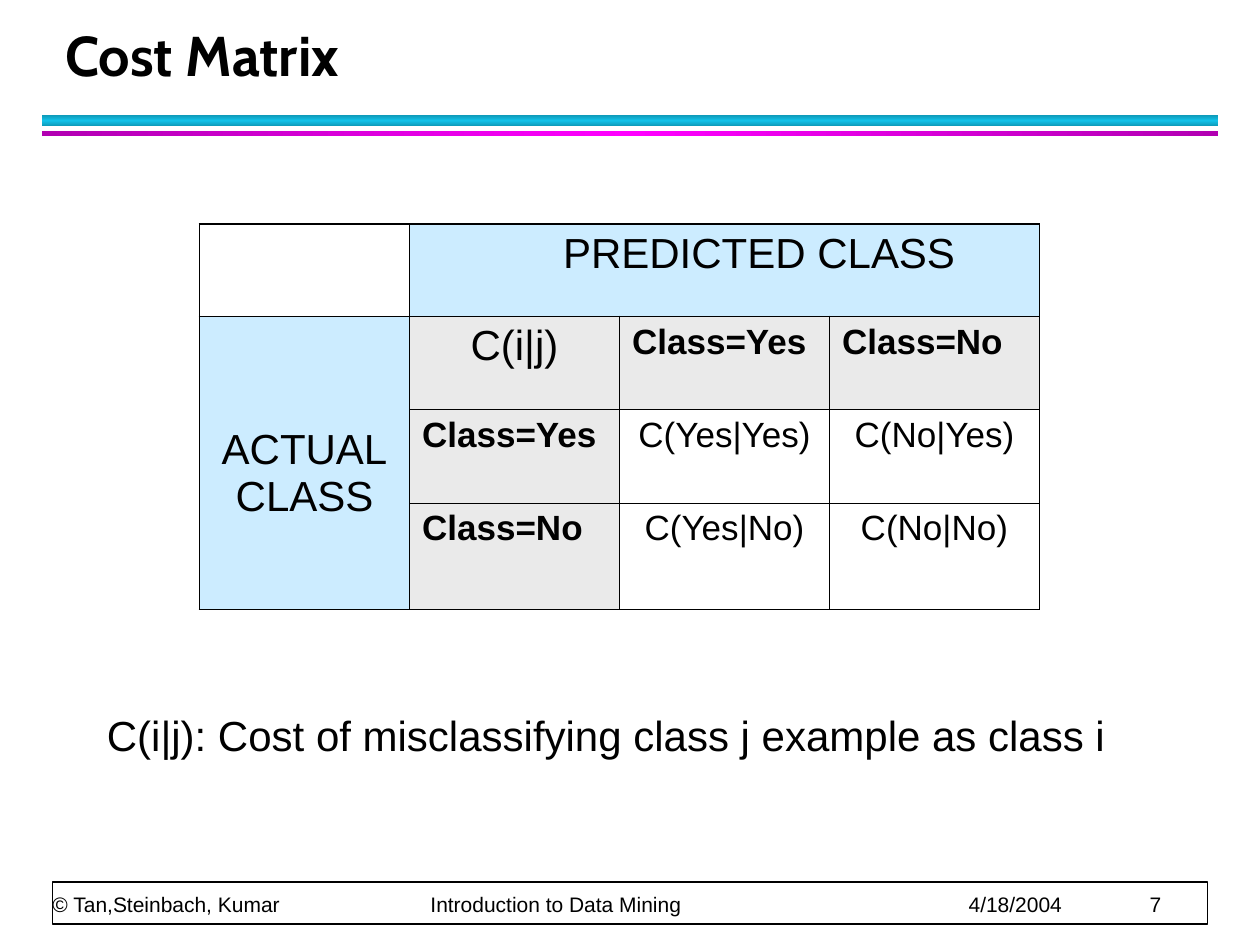
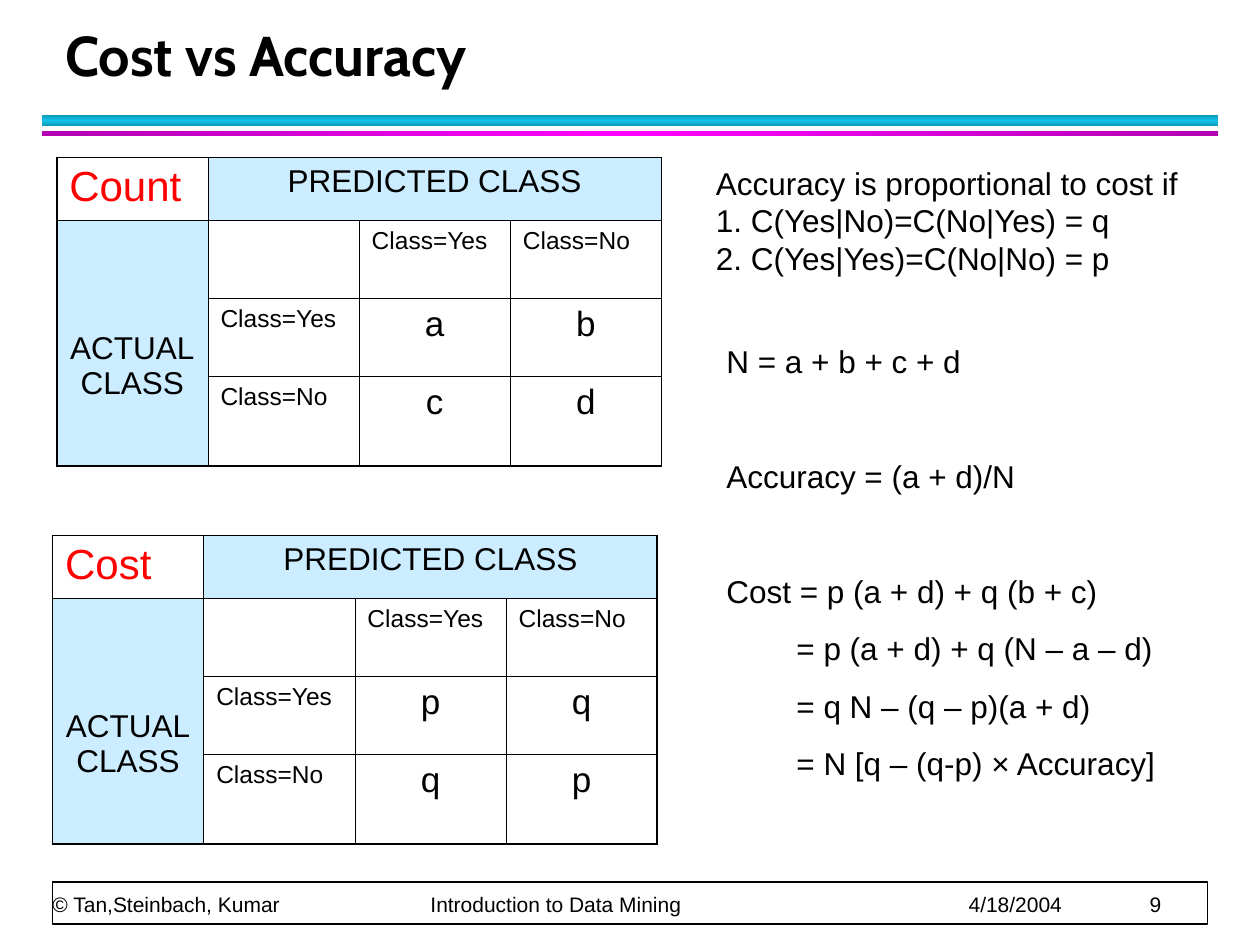
import copy
import dataclasses

import pptx
import pptx.dml.color
import pptx.enum.dml
import pptx.enum.shapes
import pptx.enum.text
import pptx.oxml
import pptx.oxml.ns
import pptx.util

ALIGN = pptx.enum.text.PP_ALIGN
ANCHOR = pptx.enum.text.MSO_ANCHOR


@dataclasses.dataclass(frozen=True)
class Theme:
    black: str = "000000"
    white: str = "FFFFFF"
    red: str = "FF0000"
    header: str = "CCECFF"
    label: str = "EAEAEA"
    cyan: tuple = ("0E9BBA", "12C2E9")
    magenta: tuple = ("B200B2", "FF00FF")
    title_font: str = "Cabin"
    text_font: str = "Arial"
    title_size: int = 32
    large: int = 24
    value: int = 20
    body: int = 18
    small: int = 14
    footer: int = 12
    inner_line: float = 0.45
    outer_line: float = 1.08


def color(code):
    return pptx.dml.color.RGBColor.from_string(code)


def assign(target, values):
    for name, value in values.items():
        setattr(target, name, value)


class Deck:
    columns, rows = 120, 90

    def __init__(self, theme):
        self.theme = theme
        self.deck = pptx.Presentation()
        self.deck.slide_width = pptx.util.Inches(10)
        self.deck.slide_height = pptx.util.Inches(7.5)
        self.page = None

    def across(self, columns):
        return round(self.deck.slide_width * columns / self.columns)

    def down(self, rows):
        return round(self.deck.slide_height * rows / self.rows)

    def area(self, left, top, width, height):
        return self.across(left), self.down(top), self.across(width), self.down(height)

    def start(self, title, number):
        self.page = self.deck.slides.add_slide(self.deck.slide_layouts[5])
        self.band((4, 11, 112, 1), self.theme.cyan, 90)
        self.band((4, 12.5, 112, 0.5), self.theme.magenta, 180)
        self.footer(number)
        self.title(title)

    def paragraph(self, frame, index, text, font=None, layout=None):
        para = frame.paragraphs[0] if index == 0 else frame.add_paragraph()
        assign(para, {"alignment": ALIGN.LEFT, **(layout or {})})
        span = para.add_run()
        span.text = text
        style = {"name": self.theme.text_font, "size": self.theme.body,
                 "bold": False, "color": self.theme.black, **(font or {})}
        span.font.color.rgb = color(style.pop("color"))
        style["size"] = pptx.util.Pt(style["size"])
        assign(span.font, style)
        return para

    def title(self, text):
        box = self.page.shapes.title
        places = self.area(5, 2, 108.7, 7)
        assign(box, dict(zip(("left", "top", "width", "height"), places)))
        assign(box.text_frame, {"vertical_anchor": ANCHOR.BOTTOM, "word_wrap": True,
                                "auto_size": pptx.enum.text.MSO_AUTO_SIZE.NONE})
        font = {"name": self.theme.title_font, "size": self.theme.title_size, "bold": True}
        self.paragraph(box.text_frame, 0, text, font, {"line_spacing": pptx.util.Pt(36)})

    def rectangle(self, place):
        box = self.page.shapes.add_shape(
            pptx.enum.shapes.MSO_SHAPE.RECTANGLE, *self.area(*place))
        box.shadow.inherit = False
        return box

    def band(self, place, shades, angle):
        box = self.rectangle(place)
        box.line.fill.background()
        box.fill.gradient()
        box.fill.gradient_angle = angle
        for stop, shade, position in zip(box.fill.gradient_stops, shades, (0, 0.5)):
            stop.color.rgb = color(shade)
            stop.position = position
        stops = box.element.find(".//" + pptx.oxml.ns.qn("a:gsLst"))
        last = copy.deepcopy(stops[0])
        last.set("pos", "100000")
        stops.append(last)

    def text(self, place, lines, font=None, anchor=ANCHOR.TOP, inset=(0.1, 0.05)):
        box = self.page.shapes.add_textbox(*self.area(*place))
        side, edge = map(pptx.util.Inches, inset)
        assign(box.text_frame, {"word_wrap": True, "vertical_anchor": anchor,
                                "margin_left": side, "margin_right": side,
                                "margin_top": edge, "margin_bottom": edge})
        paras = []
        for index, (text, layout) in enumerate(lines):
            paras.append(self.paragraph(box.text_frame, index, text, font, layout))
        return paras

    def indent(self, para, columns):
        para._p.get_or_add_pPr().set("marL", str(self.across(columns)))

    def footer(self, number):
        frame = self.rectangle((5, 84, 110, 4))
        frame.fill.solid()
        frame.fill.fore_color.rgb = color(self.theme.white)
        frame.line.color.rgb = color(self.theme.black)
        frame.line.width = pptx.util.Pt(1)
        parts = ("© Tan,Steinbach, Kumar", "Introduction to Data Mining", "4/18/2004", str(number))
        line = ("\t".join(parts), {"line_spacing": pptx.util.Pt(20)})
        para, = self.text((5, 80.6, 109.8, 6.75), [line], {"size": self.theme.footer},
                          ANCHOR.BOTTOM, (0, 0))
        properties = para._p.get_or_add_pPr()
        tabs = properties.makeelement(pptx.oxml.ns.qn("a:tabLst"), {})
        for stop in (36, 87.25, 104.5):
            tab = tabs.makeelement(pptx.oxml.ns.qn("a:tab"),
                                   {"pos": str(self.across(stop)), "algn": "l"})
            tabs.append(tab)
        properties.append(tabs)

    def borders(self, cell, outer):
        properties = cell._tc.get_or_add_tcPr()
        for index, (side, is_outer) in enumerate(zip("LRTB", outer)):
            points = self.theme.outer_line if is_outer else self.theme.inner_line
            line = pptx.oxml.parse_xml(
                f'<a:ln{side} {pptx.oxml.ns.nsdecls("a")} w="{pptx.util.Pt(points)}">'
                f'<a:solidFill><a:srgbClr val="{self.theme.black}"/></a:solidFill></a:ln{side}>')
            properties.insert(index, line)

    def cell(self, cell, text, fill=None, align=ALIGN.LEFT, margins=None, **font):
        assign(cell, {"vertical_anchor": ANCHOR.TOP, **(margins or {})})
        if fill:
            cell.fill.solid()
            cell.fill.fore_color.rgb = color(fill)
        else:
            cell.fill.background()
        for index, line in enumerate(text.split("\n") if text else ()):
            self.paragraph(cell.text_frame, index, line, font, {"alignment": align})

    def matrix(self, left, top, column, heights, corner, pivot, values, sizes,
               label=None, shift=0):
        count = len(heights)
        table = self.page.shapes.add_table(
            count, count, *self.area(left, top, column * count, sum(heights))).table
        assign(table, {"first_row": False, "horz_banding": False})
        for index, height in enumerate(heights):
            table.columns[index].width = self.across(column)
            table.rows[index].height = self.down(height)
        table.cell(0, 1).merge(table.cell(0, count - 1))
        table.cell(1, 0).merge(table.cell(count - 1, 0))

        large = self.theme.large
        heading = {"fill": self.theme.header, "align": ALIGN.CENTER, "size": sizes["heading"]}
        self.cell(table.cell(0, 0), corner, size=large, color=self.theme.red)
        self.cell(table.cell(0, 1), "PREDICTED CLASS", **heading,
                  margins={"margin_left": self.across(1.2 + shift)})
        self.cell(table.cell(1, 0), "ACTUAL\nCLASS", **heading,
                  margins={"margin_top": self.down(10.5)})
        self.cell(table.cell(1, 1), pivot, label, ALIGN.CENTER, size=large)
        for index, name in enumerate(("Class=Yes", "Class=No"), 2):
            for place in ((1, index), (index, 1)):
                self.cell(table.cell(*place), name, label,
                          size=sizes["label"], bold=bool(label))
        for row, line in enumerate(values, 2):
            for spot, value in enumerate(line, 2):
                self.cell(table.cell(row, spot), value, align=ALIGN.CENTER,
                          size=self.theme.value)
        for row in range(count):
            for spot in range(count):
                cell = table.cell(row, spot)
                right = spot + (cell.span_width if cell.is_merge_origin else 1)
                bottom = row + (cell.span_height if cell.is_merge_origin else 1)
                self.borders(cell, (spot == 0, right == count, row == 0, bottom == count))


def cost_matrix(deck):
    theme = deck.theme
    deck.start("Cost Matrix", 7)
    deck.matrix(19, 21.35, 20, (8.75, 8.9, 8.9, 10.15), "", "C(i|j)",
                (("C(Yes|Yes)", "C(No|Yes)"), ("C(Yes|No)", "C(No|No)")),
                {"heading": theme.large, "label": theme.value}, theme.label, 6.6)
    deck.text((9, 67, 103, 12),
              [("C(i|j): Cost of misclassifying class j example as class i", None)],
              {"size": theme.large})


def cost_and_accuracy(deck):
    theme = deck.theme
    deck.start("Cost vs Accuracy", 9)
    sizes = {"heading": theme.body, "label": theme.small}
    for left, top, corner, values in ((5.4, 15, "Count", ("ab", "cd")),
                                      (5, 51, "Cost", ("pq", "qp"))):
        deck.matrix(left, top, 14.4, (6, 7.43, 7.43, 8.55), corner, "", values, sizes)

    near, far = pptx.util.Pt(11.2), pptx.util.Pt(44)
    equations = (("N = a + b + c + d", near), ("Accuracy = (a + d)/N", far),
                 ("Cost = p (a + d) + q (b + c)", far),
                 ("= p (a + d) + q (N – a – d)", near),
                 ("= q N – (q – p)(a + d)", near),
                 ("= N [q – (q-p) × Accuracy]", near))
    paras = deck.text((68, 32, 47, 48.6),
                      [(text, {"space_before": gap}) for text, gap in equations])
    for para in paras[3:]:
        deck.indent(para, 6.67)
    conditions = ("Accuracy is proportional to cost if", "1. C(Yes|No)=C(No|Yes) = q",
                  "2. C(Yes|Yes)=C(No|No) = p")
    deck.text((67, 15, 49, 12), [(text, None) for text in conditions])


def main():
    deck = Deck(Theme())
    cost_matrix(deck)
    cost_and_accuracy(deck)
    deck.deck.save("out.pptx")


if __name__ == "__main__":
    main()
